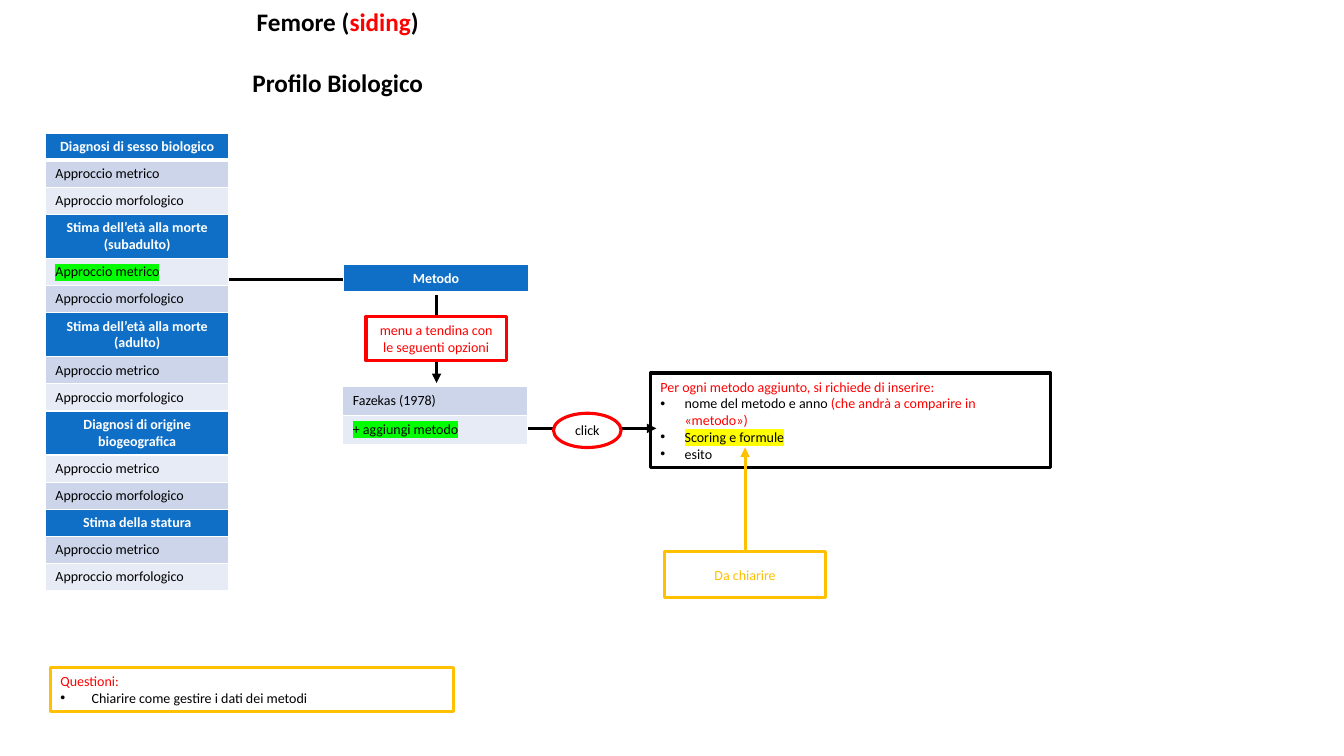
from lxml.etree import SubElement
from pptx import Presentation
from pptx.dml.color import RGBColor
from pptx.enum.shapes import MSO_CONNECTOR, MSO_SHAPE
from pptx.enum.text import MSO_ANCHOR, MSO_AUTO_SIZE, PP_ALIGN
from pptx.oxml.ns import qn
from pptx.util import Inches, Pt

BLACK = RGBColor(0x00, 0x00, 0x00)
WHITE = RGBColor(0xFF, 0xFF, 0xFF)
RED = RGBColor(0xFF, 0x00, 0x00)
AMBER = RGBColor(0xFF, 0xC0, 0x00)
BLUE = RGBColor(0x0F, 0x6F, 0xC6)
BAND_DARK = RGBColor(0xCC, 0xD5, 0xEA)
BAND_LIGHT = RGBColor(0xE7, 0xEB, 0xF5)
GREEN = RGBColor(0x00, 0xFF, 0x00)
YELLOW = RGBColor(0xFF, 0xFF, 0x00)

METRIC, MORPHOLOGIC = "Approccio metrico", "Approccio morfologico"
SUBADULT = "Stima dell’età alla morte (subadulto)"
PROFILE = [
    "Diagnosi di sesso biologico",
    SUBADULT,
    "Stima dell’età alla morte (adulto)",
    "Diagnosi di origine biogeografica",
    "Stima della statura",
]


class Board:
    """Holds the style and the slide; lengths are tenths of an inch."""

    font = "Calibri"
    size = 10
    stroke = Pt(2.25)
    unit = Inches(0.1)

    def __init__(self, page):
        """Keep the slide that receives the elements."""
        self.page = page

    def grid(self, *lengths):
        """Turn columns and rows into slide lengths."""
        return [round(length * self.unit) for length in lengths]

    def set_spans(self, para, spans, size=None, bold=False, align=PP_ALIGN.LEFT):
        """Fill a paragraph with (text, colour, highlight) spans."""
        para.alignment = align
        para.space_before = Pt(0)
        for text, colour, *mark in spans:
            span = para.add_run()
            span.text = text
            span.font.name = self.font
            span.font.size = Pt(size or self.size)
            span.font.bold = bold
            span.font.color.rgb = colour
            if mark:
                properties = span._r.get_or_add_rPr()
                highlight = SubElement(properties, qn("a:highlight"))
                SubElement(highlight, qn("a:srgbClr")).set("val", str(mark[0]))
                properties.find(qn("a:solidFill")).addnext(highlight)

    def place(self, box, area, anchor=MSO_ANCHOR.TOP):
        """Position a placeholder and return its text frame."""
        box.left, box.top, box.width, box.height = self.grid(*area)
        frame = box.text_frame
        frame.word_wrap = True
        frame.auto_size = MSO_AUTO_SIZE.NONE
        frame.vertical_anchor = anchor
        return frame

    def title(self, area, lines):
        """Set the title, one blank line's height between its lines."""
        frame = self.place(self.page.shapes.title, area)
        for index, spans in enumerate(lines):
            para = frame.add_paragraph() if index else frame.paragraphs[0]
            self.set_spans(para, spans, 18, True, PP_ALIGN.CENTER)
            para.space_before = Pt(22 * index)

    def note(self, slot, area, colour, indent, heading, items):
        """Set a framed body placeholder with a heading and bullets."""
        box = self.page.placeholders[slot]
        frame = self.place(box, area)
        box.line.color.rgb, box.line.width = colour, self.stroke
        for index, spans in enumerate([[(heading, RED)], *items]):
            para = frame.add_paragraph() if index else frame.paragraphs[0]
            self.set_spans(para, spans)
            margin = self.grid(indent)[0] if index else 0
            properties = para._p.get_or_add_pPr()
            properties.set("marL", str(margin))
            properties.set("indent", str(-margin))
            if index:
                SubElement(properties, qn("a:buFont")).set("typeface", "Arial")
                SubElement(properties, qn("a:buChar")).set("char", "•")
            else:
                SubElement(properties, qn("a:buNone"))

    def label(self, area, text, colour, outline, kind=MSO_SHAPE.RECTANGLE):
        """Add a white outlined shape with centred text."""
        box = self.page.shapes.add_shape(kind, *self.grid(*area))
        box.shadow.inherit = False
        box.fill.solid()
        box.fill.fore_color.rgb = WHITE
        box.line.color.rgb, box.line.width = outline, self.stroke
        box.text_frame.word_wrap = True
        box.text_frame.vertical_anchor = MSO_ANCHOR.MIDDLE
        self.set_spans(box.text_frame.paragraphs[0], [(text, colour)], align=PP_ALIGN.CENTER)

    def arrow(self, ends, colour, bent=False):
        """Add a straight or right-angled arrow."""
        kind = MSO_CONNECTOR.ELBOW if bent else MSO_CONNECTOR.STRAIGHT
        line = self.page.shapes.add_connector(kind, *self.grid(*ends))
        line.line.color.rgb, line.line.width = colour, self.stroke
        properties = line._element.spPr
        if bent:
            properties.find(qn("a:prstGeom")).set("prst", "bentConnector2")
        SubElement(properties.find(qn("a:ln")), qn("a:tailEnd")).set("type", "triangle")
        SubElement(properties, qn("a:effectLst"))

    def border(self, cell, bottom):
        """Draw white cell borders with a given bottom width."""
        properties = cell._tc.get_or_add_tcPr()
        for side, width in (("L", 1), ("R", 1), ("T", 1), ("B", bottom)):
            edge = SubElement(properties, qn(f"a:ln{side}"), w=str(int(Pt(width))))
            fill = SubElement(edge, qn("a:solidFill"))
            SubElement(fill, qn("a:srgbClr")).set("val", str(WHITE))

    def table(self, left, top, width, rows, first=0):
        """Add a one-column table from (text, height, header, marks) rows."""
        height = sum(row[1] for row in rows)
        frame = self.page.shapes.add_table(len(rows), 1, *self.grid(left, top, width, height))
        grid = frame.table
        grid.first_row = grid.horz_banding = False
        for index, (text, height, header, marks) in enumerate(rows):
            grid.rows[index].height = self.grid(height)[0]
            cell = grid.cell(index, 0)
            cell.vertical_anchor = MSO_ANCHOR.MIDDLE
            self.border(cell, 3 if header and index == 0 else 1)
            band = BAND_DARK if (index + first) % 2 else BAND_LIGHT
            cell.fill.solid()
            cell.fill.fore_color.rgb = BLUE if header else band
            self.set_spans(
                cell.text_frame.paragraphs[0],
                [(text, WHITE if header else BLACK, *marks)],
                bold=header,
                align=PP_ALIGN.CENTER if header else PP_ALIGN.LEFT,
            )


def profile_rows():
    """List each section's header followed by its two approaches."""
    rows = []
    for section in PROFILE:
        rows.append((section, 4.3 if len(section) > 30 else 2.6, True, []))
        rows.append((METRIC, 2.6, False, [GREEN] if section == SUBADULT else []))
        rows.append((MORPHOLOGIC, 2.6, False, []))
    return rows


def main():
    """Build and save the slide."""
    deck = Presentation()
    deck.slide_width, deck.slide_height = Inches(13.33), Inches(7.5)
    board = Board(deck.slides.add_slide(deck.slide_layouts[3]))
    board.title((0.2, 0.1, 66.6, 13.1), [
        [("Femore (", BLACK), ("siding", RED), (")", BLACK)],
        [("Profilo Biologico", BLACK)],
    ])
    board.note(1, (5, 66.2, 40, 4.4), AMBER, 3.1, "Questioni:", [
        [("Chiarire come gestire i dati dei metodi", BLACK)],
    ])
    board.note(2, (64.5, 37, 39.7, 9.4), BLACK, 2.4,
               "Per ogni metodo aggiunto, si richiede di inserire:", [
        [("nome del metodo e anno ", BLACK), ("(che andrà a comparire in «metodo»)", RED)],
        [("Scoring e formule", BLACK, YELLOW)],
        [("esito", BLACK)],
    ])
    board.arrow((20.6, 27.7, 43.3, 38), BLACK, bent=True)
    board.arrow((73.9, 54.7, 73.9, 44.4), AMBER)
    board.label((65.9, 54.7, 16, 4.6), "Da chiarire", AMBER, AMBER)
    board.arrow((52, 42.5, 65.1, 42.5), BLACK)
    board.label((54.9, 41, 6.7, 3.4), "click", BLACK, RED, MSO_SHAPE.OVAL)
    board.table(34, 38.3, 18.3, [
        ("Fazekas (1978)", 2.9, False, []),
        ("+ aggiungi metodo", 2.9, False, [GREEN]),
    ], first=1)
    board.label((36.3, 31.4, 13.9, 4.4), "menu a tendina con le seguenti opzioni", RED, RED)
    board.table(34.1, 26.2, 18.3, [("Metodo", 2.9, True, [])])
    board.table(4.5, 13.2, 18.2, profile_rows())
    deck.save("out.pptx")


if __name__ == "__main__":
    main()
